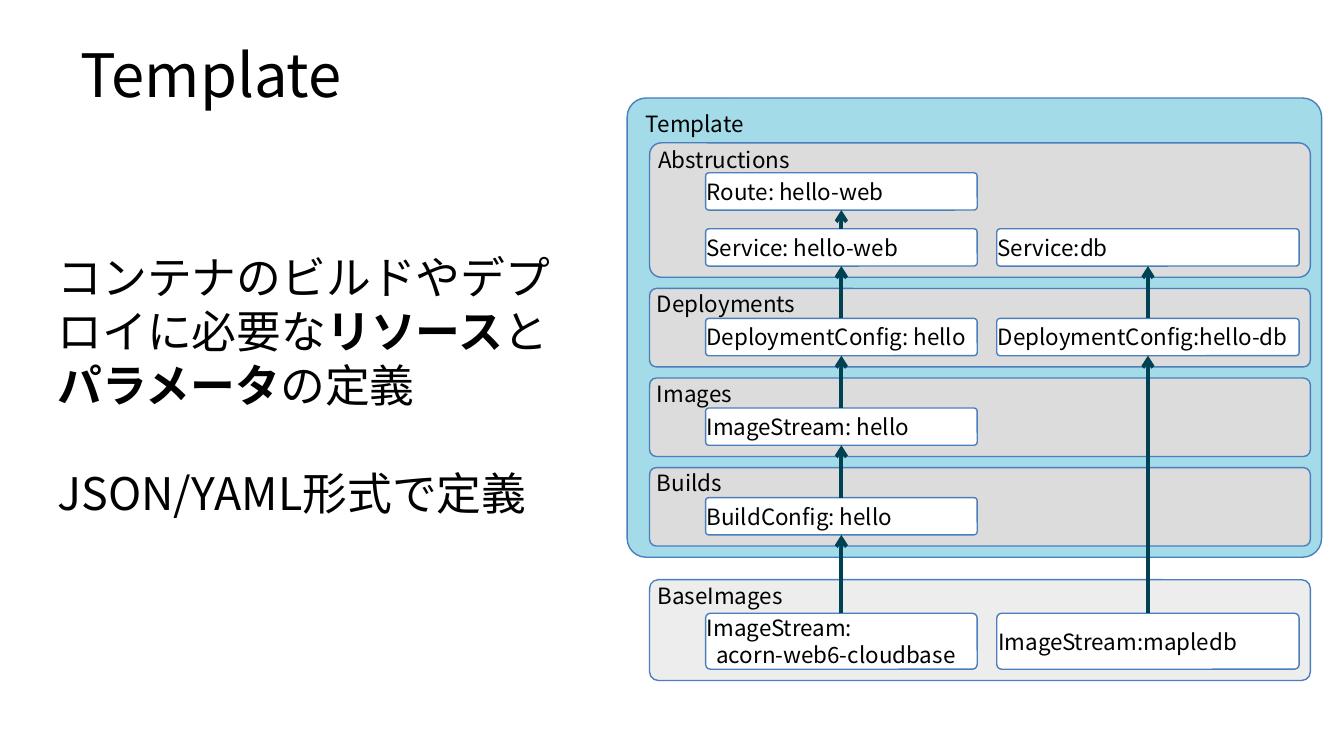
from dataclasses import dataclass
from itertools import pairwise

from lxml.etree import SubElement
from pptx import Presentation
from pptx.dml.color import RGBColor
from pptx.enum.shapes import MSO_CONNECTOR, MSO_SHAPE
from pptx.enum.text import MSO_ANCHOR, PP_ALIGN
from pptx.oxml.ns import qn
from pptx.util import Inches, Pt

FONT = "Noto Sans CJK JP"
BLACK = RGBColor(0x00, 0x00, 0x00)
WHITE = RGBColor(0xFF, 0xFF, 0xFF)
AQUA = RGBColor(0xA3, 0xDC, 0xE8)
GREY = RGBColor(0xDC, 0xDC, 0xDC)
PALE_GREY = RGBColor(0xED, 0xED, 0xED)
BLUE = RGBColor(0x4B, 0x7E, 0xBC)
TEAL = RGBColor(0x00, 0x41, 0x53)

SLIDE_WIDTH = Inches(10)
SLIDE_HEIGHT = SLIDE_WIDTH * 9 // 16

# The diagram sits on a grid of 1/12 inch whose row 0 is the top of the template.
CELL = Inches(1) / 12
GRID_TOP = Inches(0.73)

PANEL_COL, PANEL_COLS = 58, 59
WEB_COL, WEB_COLS = 63, 24.25
DB_COL, DB_COLS = 89, 27
LABEL_ROWS = 2.67
NODE_ROWS = 3.33


@dataclass(frozen=True)
class Box:
    col: float
    row: float
    cols: float
    rows: float
    lines: tuple[str, ...]
    fill: RGBColor = WHITE
    radius: float = 0.087


def x_at(col: float) -> int:
    return round(col * CELL)


def y_at(row: float) -> int:
    return round(GRID_TOP + row * CELL)


def panel(row: float, rows: float, label: str, fill: RGBColor = GREY) -> Box:
    return Box(PANEL_COL, row, PANEL_COLS, rows, (label,), fill)


def web_node(row: float, *lines: str, rows: float = NODE_ROWS) -> Box:
    return Box(WEB_COL, row, WEB_COLS, rows, lines)


def db_node(row: float, *lines: str, rows: float = NODE_ROWS) -> Box:
    return Box(DB_COL, row, DB_COLS, rows, lines)


TEMPLATE = Box(56, 0, 62, 41, ("Template",), AQUA, 0.041)
PANELS = [
    panel(4, 12, "Abstructions"),
    panel(17, 7, "Deployments"),
    panel(25, 7, "Images"),
    panel(33, 7, "Builds"),
    panel(43, 9, "BaseImages", PALE_GREY),
]
# Each chain runs from the bottom node up to the top one.
WEB_CHAIN = [
    web_node(46, "ImageStream:", "acorn-web6-cloudbase", rows=5),
    web_node(33 + LABEL_ROWS, "BuildConfig: hello"),
    web_node(25 + LABEL_ROWS, "ImageStream: hello"),
    web_node(17 + LABEL_ROWS, "DeploymentConfig: hello"),
    web_node(11.67, "Service: hello-web"),
    web_node(4 + LABEL_ROWS, "Route: hello-web"),
]
DB_CHAIN = [
    db_node(46, "ImageStream:mapledb", rows=5),
    db_node(17 + LABEL_ROWS, "DeploymentConfig:hello-db"),
    db_node(11.67, "Service:db"),
]


def apply_format(target, values: dict) -> None:
    for name, value in values.items():
        setattr(target, name, value)


def add_run(p, text: str, size: float, bold: bool = False) -> None:
    r = p.add_run()
    r.text = text
    apply_format(r.font, {"name": FONT, "size": Pt(size), "bold": bold})
    r.font.color.rgb = BLACK
    SubElement(r.font._element, qn("a:ea"), typeface=FONT)


def add_box(slide, box: Box, frame: dict) -> None:
    sp = slide.shapes.add_shape(
        MSO_SHAPE.ROUNDED_RECTANGLE, x_at(box.col), y_at(box.row),
        round(box.cols * CELL), round(box.rows * CELL))
    sp.adjustments[0] = box.radius
    sp.shadow.inherit = False
    sp.fill.solid()
    sp.fill.fore_color.rgb = box.fill
    sp.line.color.rgb = BLUE
    sp.line.width = Pt(0.75)
    tf = sp.text_frame
    apply_format(tf, frame)
    for i, line in enumerate(box.lines):
        p = tf.add_paragraph() if i else tf.paragraphs[0]
        p.alignment = PP_ALIGN.LEFT
        if i:
            p._p.get_or_add_pPr().set("marL", str(Inches(0.07)))
        add_run(p, line, 12)


def add_arrow(slide, lower: Box, upper: Box) -> None:
    x = x_at(lower.col + lower.cols / 2)
    cxn = slide.shapes.add_connector(
        MSO_CONNECTOR.STRAIGHT, x, y_at(lower.row), x, y_at(upper.row + upper.rows))
    cxn.line.color.rgb = TEAL
    cxn.line.width = Pt(2)
    SubElement(cxn.line._get_or_add_ln(), qn("a:tailEnd"), type="arrow")
    SubElement(cxn._element.spPr, qn("a:effectLst"))


def add_text(slide, left: float, top: float, width: float, height: float):
    tf = slide.shapes.add_textbox(*map(Inches, (left, top, width, height))).text_frame
    apply_format(tf, {"word_wrap": True, "vertical_anchor": MSO_ANCHOR.TOP})
    return tf


def main() -> None:
    prs = Presentation()
    prs.slide_width, prs.slide_height = SLIDE_WIDTH, SLIDE_HEIGHT
    slide = prs.slides.add_slide(prs.slide_layouts[6])

    top_text = {"vertical_anchor": MSO_ANCHOR.TOP, "word_wrap": True}
    panel_text = top_text | {"margin_left": Inches(0.04), "margin_right": Inches(0.04),
                             "margin_top": 0, "margin_bottom": 0}
    node_text = {"vertical_anchor": MSO_ANCHOR.MIDDLE, "word_wrap": False,
                 "margin_left": 0, "margin_right": 0,
                 "margin_top": 0, "margin_bottom": 0}

    add_box(slide, TEMPLATE, top_text)
    for box in PANELS:
        add_box(slide, box, panel_text)
    for box in WEB_CHAIN + DB_CHAIN:
        add_box(slide, box, node_text)
    for chain in (WEB_CHAIN, DB_CHAIN):
        for lower, upper in pairwise(chain):
            add_arrow(slide, lower, upper)

    title = add_text(slide, 0.5, 0.23, 9, 0.59)
    add_run(title.paragraphs[0], "Template", 32)

    body = add_text(slide, 0.33, 1.81, 4.08, 2.12)
    for text, bold in (("コンテナのビルドやデプロイに必要な", False), ("リソース", True),
                       ("と", False), ("パラメータ", True), ("の定義", False)):
        add_run(body.paragraphs[0], text, 24, bold)
    p = body.add_paragraph()
    p.space_before = Pt(29)
    add_run(p, "JSON/YAML形式で定義", 24)

    prs.save("out.pptx")


if __name__ == "__main__":
    main()
